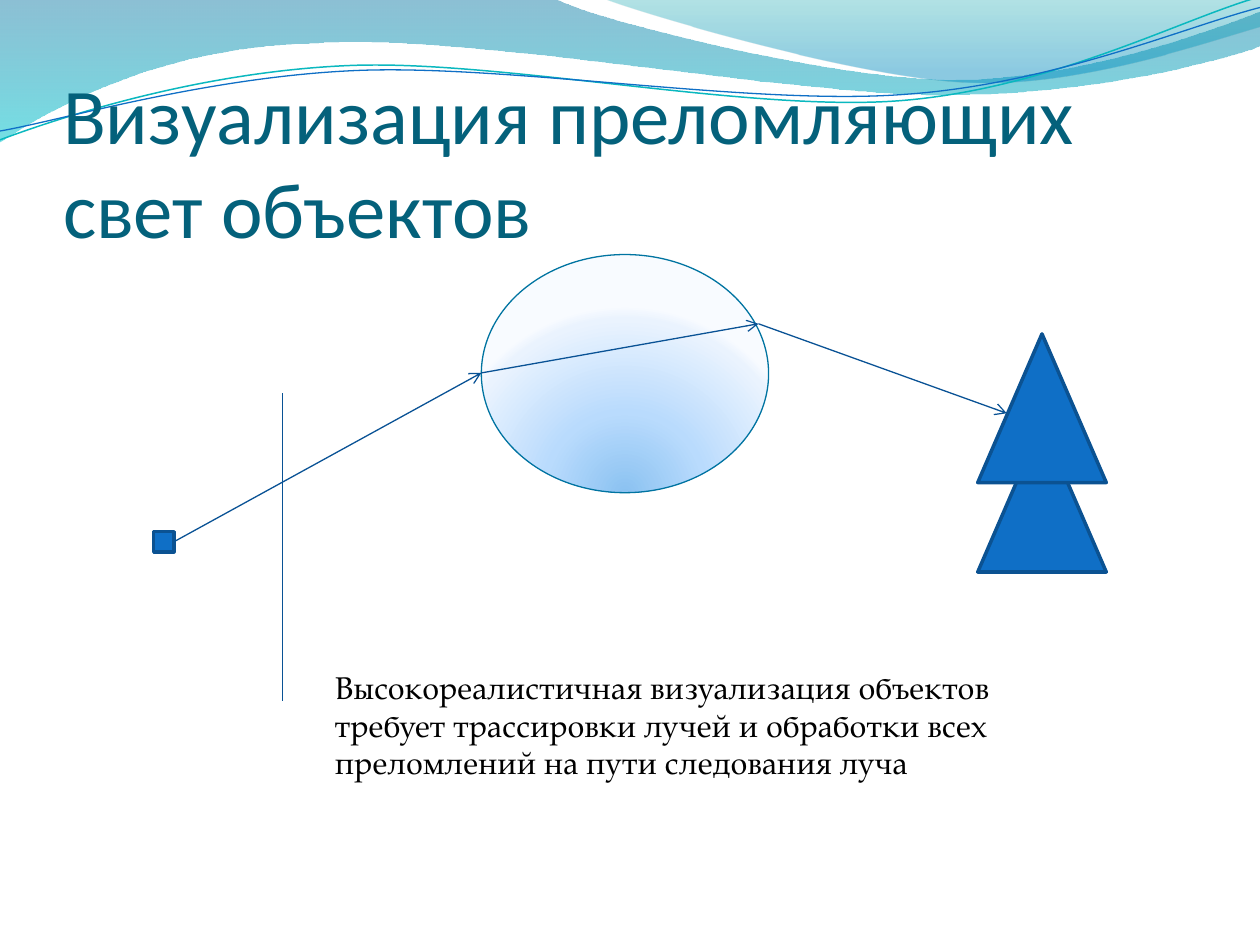
from math import cos, radians, sin

from lxml.etree import SubElement
from pptx import Presentation
from pptx.dml.color import RGBColor
from pptx.enum.shapes import MSO_CONNECTOR as Connector, MSO_SHAPE as Preset
from pptx.enum.text import MSO_ANCHOR as Anchor, MSO_AUTO_SIZE as AutoSize, PP_ALIGN as Align
from pptx.oxml.ns import qn
from pptx.util import Inches, Pt

COLORS = {
    "title": "04617B", "text": "000000", "solid": "0F6FC6", "edge": "0B5292",
    "ray": "095295", "rim": "0074A1", "teal": "0AB8BF",
}
BAND_STOPS = [(0, "0074A1", 45), (100, "00C6CF", 55)]
CREST_STOPS = [(0, "00A1A9", 30), (80, "008BBF", 45)]
LENS_STOPS = [(0, "8BC2F1", 100), (43, "B9DBFD", 100), (93, "EAF3FE", 100), (100, "F8FBFF", 100)]
LENS_FOCUS = {"l": 50, "t": 130, "r": 50, "b": -30}
TILT = 2.7

BAND = [
    [(0, 0)], [(4.4, -0.01)],
    [(4.76, 0.17), (6.64, 0.63), (7.58, 0.63)], [(8.53, 0.63), (9.58, 0.26), (10, 0.09)],
    [(10.01, 0.36)],
    [(9.83, 0.44), (8.7, 0.76), (7.46, 0.75)], [(6.22, 0.75), (3.82, 0.28), (2.57, 0.34)],
    [(1.29, 0.36), (0.46, 0.83), (-0.01, 1.13)], [(0, 0)],
]
CREST = [
    [(4.79, -0.01)], [(5.09, 0.11), (6.82, 0.62), (7.69, 0.65)],
    [(8.56, 0.69), (9.61, 0.32), (10, 0.21)], [(10, 0)], [(4.79, -0.01)],
]
TEAL_WAVE = [
    [(0, 1.11)], [(0.48, 0.93), (1.58, 0.57), (2.77, 0.52)],
    [(3.95, 0.47), (5.93, 0.89), (7.13, 0.8)], [(8.33, 0.71), (9.38, 0.15), (9.98, -0.02)],
]
BLUE_WAVE = [
    [(0, 1.04)], [(0.47, 0.96), (1.64, 0.61), (2.83, 0.56)],
    [(4.03, 0.51), (5.97, 0.84), (7.17, 0.75)], [(8.36, 0.67), (9.41, 0.21), (10, 0.06)],
]


def rgb(name):
    """Return the palette colour called name."""
    return RGBColor.from_string(COLORS[name])


def set_gradient(shape, stops, focus=None):
    """Fill a shape with a downward gradient, or a circular one around focus."""
    shape.fill.background()
    props = shape._element.spPr
    gradient = SubElement(props, qn("a:gradFill"), rotWithShape="1")
    stop_list = SubElement(gradient, qn("a:gsLst"))
    for position, value, alpha in stops:
        stop = SubElement(stop_list, qn("a:gs"), pos=str(position * 1000))
        color = SubElement(stop, qn("a:srgbClr"), val=value)
        if alpha < 100:
            SubElement(color, qn("a:alpha"), val=str(alpha * 1000))
    if focus:
        circle = SubElement(gradient, qn("a:path"), {"path": "circle"})
        SubElement(circle, qn("a:fillToRect"), {side: str(v * 1000) for side, v in focus.items()})
    else:
        SubElement(gradient, qn("a:lin"), ang="5400000", scaled="0")
    props.replace(props.find(qn("a:noFill")), gradient)


def turn(point, center, degrees):
    """Turn a point clockwise around a center."""
    dx, dy = point[0] - center[0], point[1] - center[1]
    angle = radians(degrees)
    return (center[0] + dx * cos(angle) - dy * sin(angle),
            center[1] + dx * sin(angle) + dy * cos(angle))


def add_outline(page, outline, closed):
    """Build a freeform whose three-point segments are Bezier curves."""
    points = [(Inches(x), Inches(y)) for segment in outline for x, y in segment]
    builder = page.shapes.build_freeform(*points[0])
    builder.add_line_segments(points[1:], close=closed)
    shape = builder.convert_to_shape()
    shape.shadow.inherit = False
    lines = iter(list(shape._element.iter(qn("a:lnTo"))))
    for segment in outline[1:]:
        first, *others = [next(lines) for _ in segment]
        if others:
            first.tag = qn("a:cubicBezTo")
        for other in others:
            first.append(other[0])
            other.getparent().remove(other)
    return shape


def add_band(page, outline, stops):
    """Add a closed gradient wave."""
    band = add_outline(page, outline, closed=True)
    band.line.fill.background()
    set_gradient(band, stops)


def add_wave(page, outline, center, color, width):
    """Add an open wavy line, tilted around its center."""
    level = [[turn(point, center, TILT) for point in segment] for segment in outline]
    wave = add_outline(page, level, closed=False)
    wave.rotation = 360 - TILT
    wave.fill.background()
    wave.line.color.rgb = rgb(color)
    wave.line.width = Pt(width)


def add_figure(page, preset, place, line="edge", width=2):
    """Add a solid preset shape."""
    figure = page.shapes.add_shape(preset, *map(Inches, place))
    figure.shadow.inherit = False
    figure.fill.solid()
    figure.fill.fore_color.rgb = rgb("solid")
    figure.line.color.rgb = rgb(line)
    figure.line.width = Pt(width)
    return figure


def add_line(page, start, end, arrow=True):
    """Add a thin straight line, by default with an arrowhead at its end."""
    line = page.shapes.add_connector(Connector.STRAIGHT, *map(Inches, (*start, *end)))
    line.line.color.rgb = rgb("ray")
    line.line.width = Pt(0.75)
    if arrow:
        SubElement(line.line._get_or_add_ln(), qn("a:tailEnd"), type="arrow")
    SubElement(line._element.spPr, qn("a:effectLst"))
    return line


def write_text(box, text, *, size, font, color, anchor=Anchor.TOP, insets=(0.1, 0.05, 0.1, 0.05),
               fit=AutoSize.NONE):
    """Write one left-aligned formatted paragraph into a box."""
    frame = box.text_frame
    frame.word_wrap = True
    frame.auto_size = fit
    frame.vertical_anchor = anchor
    frame.margin_left, frame.margin_top, frame.margin_right, frame.margin_bottom = map(Inches, insets)
    para = frame.paragraphs[0]
    para.alignment = Align.LEFT
    span = para.add_run()
    span.text = text
    span.font.size = Pt(size)
    span.font.name = font
    span.font.color.rgb = rgb(color)


def add_title(page, text, place):
    """Place the title in front of the waves."""
    title = page.shapes.title
    title.left, title.top, title.width, title.height = map(Inches, place)
    write_text(title, text, size=45, font="Calibri", color="title", anchor=Anchor.BOTTOM,
               insets=(0, 0.05, 0, 0))
    page.shapes._spTree.append(title._element)


def main():
    """Build the slide about refracting objects."""
    deck = Presentation()
    deck.slide_width, deck.slide_height = Inches(10), Inches(7.5)
    page = deck.slides.add_slide(deck.slide_layouts[5])

    add_band(page, BAND, BAND_STOPS)
    add_band(page, CREST, CREST_STOPS)
    add_wave(page, TEAL_WAVE, (4.99, 0.58), "teal", 0.85)
    add_wave(page, BLUE_WAVE, (5, 0.59), "solid", 0.75)
    add_title(page, "Визуализация преломляющих свет объектов", (0.5, 0.77, 9.08, 1.25))

    camera = add_figure(page, Preset.RECTANGLE, (1.22, 4.22, 0.16, 0.16))
    add_line(page, (2.24, 3.12), (2.24, 5.56), arrow=False)
    lens = add_figure(page, Preset.OVAL, (3.82, 2.02, 2.28, 1.89), line="rim", width=0.75)
    set_gradient(lens, LENS_STOPS, LENS_FOCUS)
    ray = [(1.38, 4.3), (3.82, 2.96), (6.02, 2.57), (7.99, 3.28)]
    rays = [add_line(page, start, end) for start, end in zip(ray, ray[1:])]
    rays[0].begin_connect(camera, 3)
    for top in (3.36, 2.65):
        add_figure(page, Preset.FLOWCHART_EXTRACT, (7.76, top, 1.02, 1.18))

    caption = page.shapes.add_textbox(*map(Inches, (2.56, 5.25, 5.75, 1.01)))
    write_text(caption, "Высокореалистичная визуализация объектов требует трассировки лучей "
               "и обработки всех преломлений на пути следования луча",
               size=18, font="TeX Gyre Pagella", color="text", fit=AutoSize.SHAPE_TO_FIT_TEXT)
    deck.save("out.pptx")


if __name__ == "__main__":
    main()
